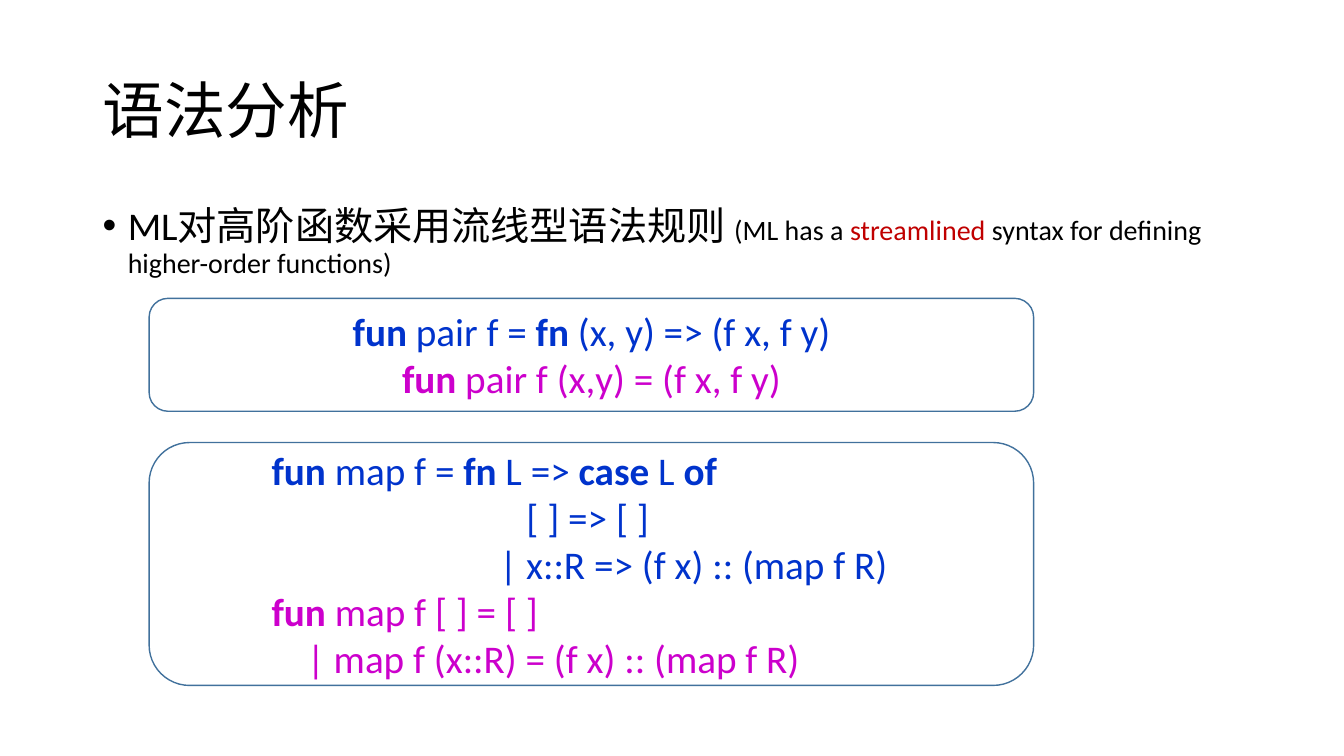
import pptx
import pptx.util
import pptx.dml.color
import pptx.enum.shapes
import pptx.enum.text
import pptx.oxml
import pptx.oxml.ns

Inches = pptx.util.Inches
Pt = pptx.util.Pt
ALIGN = pptx.enum.text.PP_ALIGN
ANCHOR = pptx.enum.text.MSO_ANCHOR

FONT = "Calibri"
COLORS = {
    "black": "000000",
    "red": "C00000",
    "blue": "0033CC",
    "pink": "CC00CC",
    "edge": "41719C",
}


def rgb(name):
    return pptx.dml.color.RGBColor.from_string(COLORS[name])


def add_run(para, text, size, color, bold=False):
    run = para.add_run()
    run.text = text
    font = run.font
    font.name = FONT
    font.size = Pt(size)
    font.bold = bold
    font.color.rgb = rgb(color)


def add_text(slide, left, top, width, height, anchor=ANCHOR.TOP):
    """Add a wrapping text box and return its first paragraph."""
    box = slide.shapes.add_textbox(
        Inches(left), Inches(top), Inches(width), Inches(height))
    frame = box.text_frame
    frame.word_wrap = True
    frame.vertical_anchor = anchor
    para = frame.paragraphs[0]
    para.line_spacing = 0.9
    return para


def indent(para, left, first=0):
    props = para._p.get_or_add_pPr()
    props.set("marL", str(Inches(left)))
    props.set("indent", str(Inches(first)))
    return props


def add_bullet(para):
    props = indent(para, 0.25, -0.25)
    font = pptx.oxml.parse_xml(
        '<a:buFont %s typeface="Arial"/>' % pptx.oxml.ns.nsdecls("a"))
    mark = pptx.oxml.parse_xml(
        '<a:buChar %s char="•"/>' % pptx.oxml.ns.nsdecls("a"))
    props.append(font)
    props.append(mark)


def add_code(slide, top, height, lines, align):
    """Add a rounded frame; a line is (indent, color, [(text, bold), ...])."""
    box = slide.shapes.add_shape(
        pptx.enum.shapes.MSO_SHAPE.ROUNDED_RECTANGLE,
        Inches(1.48), Inches(top), Inches(8.78), Inches(height))
    box.shadow.inherit = False
    box.fill.background()
    box.line.color.rgb = rgb("edge")
    box.line.width = Pt(1)
    frame = box.text_frame
    frame.word_wrap = True
    frame.vertical_anchor = ANCHOR.MIDDLE
    for i, (left, color, parts) in enumerate(lines):
        para = frame.add_paragraph() if i else frame.paragraphs[0]
        para.alignment = align
        indent(para, left)
        for text, bold in parts:
            add_run(para, text, 28, color, bold)


def main():
    deck = pptx.Presentation()
    deck.slide_width = Inches(13.34)
    deck.slide_height = Inches(7.5)
    slide = deck.slides.add_slide(deck.slide_layouts[6])

    # Title
    title = add_text(slide, 0.92, 0.4, 11.5, 1.45, ANCHOR.MIDDLE)
    add_run(title, "语法分析", 44, "black")

    # Bullet point
    point = add_text(slide, 0.92, 2, 11.5, 0.96)
    point.space_before = Pt(10)
    add_bullet(point)
    add_run(point, "ML对高阶函数采用流线型语法规则 ", 28, "black")
    add_run(point, "(ML has a ", 20, "black")
    add_run(point, "streamlined", 20, "red")
    add_run(point, " syntax for defining higher-order functions)", 20, "black")

    # Two ways to write pair
    add_code(slide, 2.96, 1.12, [
        (0, "blue", [("fun", True), (" pair f = ", False), ("fn", True),
                     (" (x, y) => (f x, f y)", False)]),
        (0, "pink", [("fun", True), (" pair f (x,y) = (f x, f y)", False)]),
    ], ALIGN.CENTER)

    # Two ways to write map
    add_code(slide, 4.39, 2.41, [
        (1, "blue", [("fun", True), (" map f = ", False), ("fn", True),
                     (" L => ", False), ("case", True), (" L ", False),
                     ("of", True)]),
        (3.53, "blue", [("[ ] => [ ]", False)]),
        (3.26, "blue", [("| x::R => (f x) :: (map f R)", False)]),
        (1, "pink", [("fun ", True), ("map f [ ] = [ ]", False)]),
        (1.35, "pink", [("| map f (x::R) = (f x) :: (map f R)", False)]),
    ], ALIGN.LEFT)

    deck.save("out.pptx")


if __name__ == "__main__":
    main()
